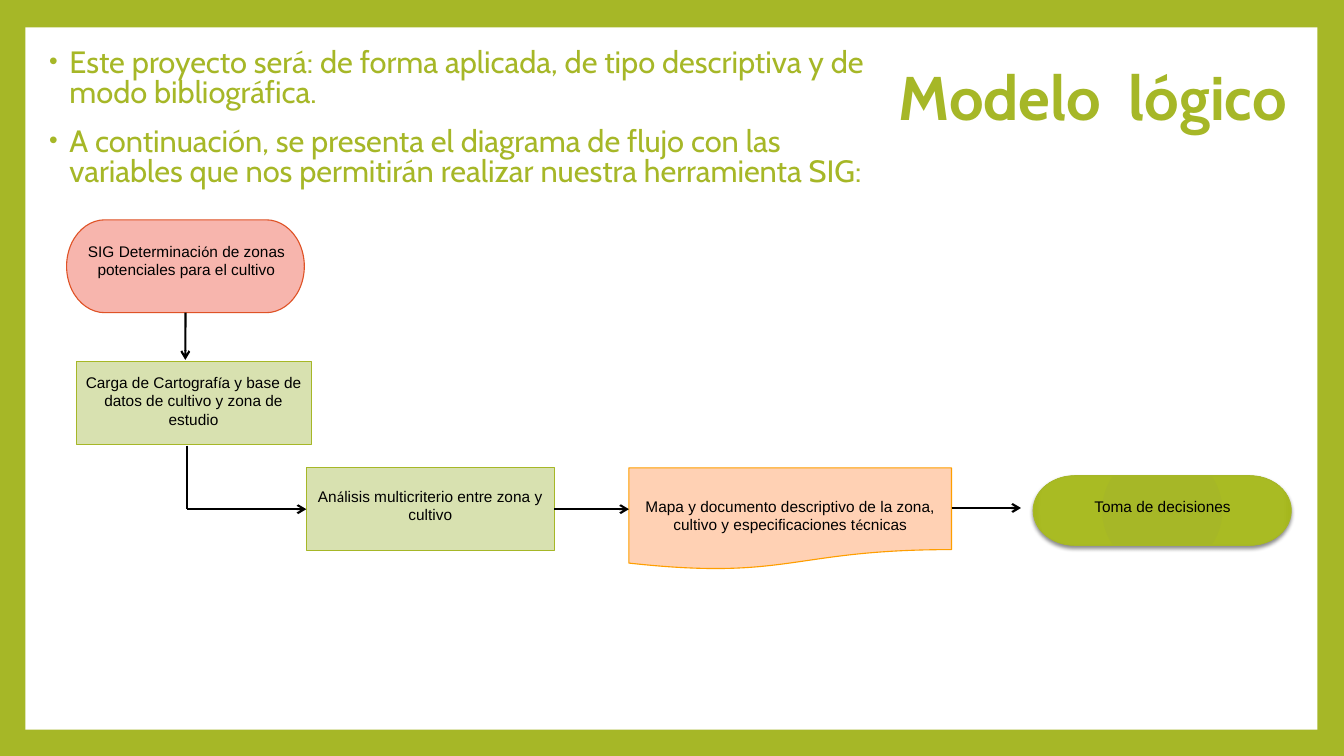
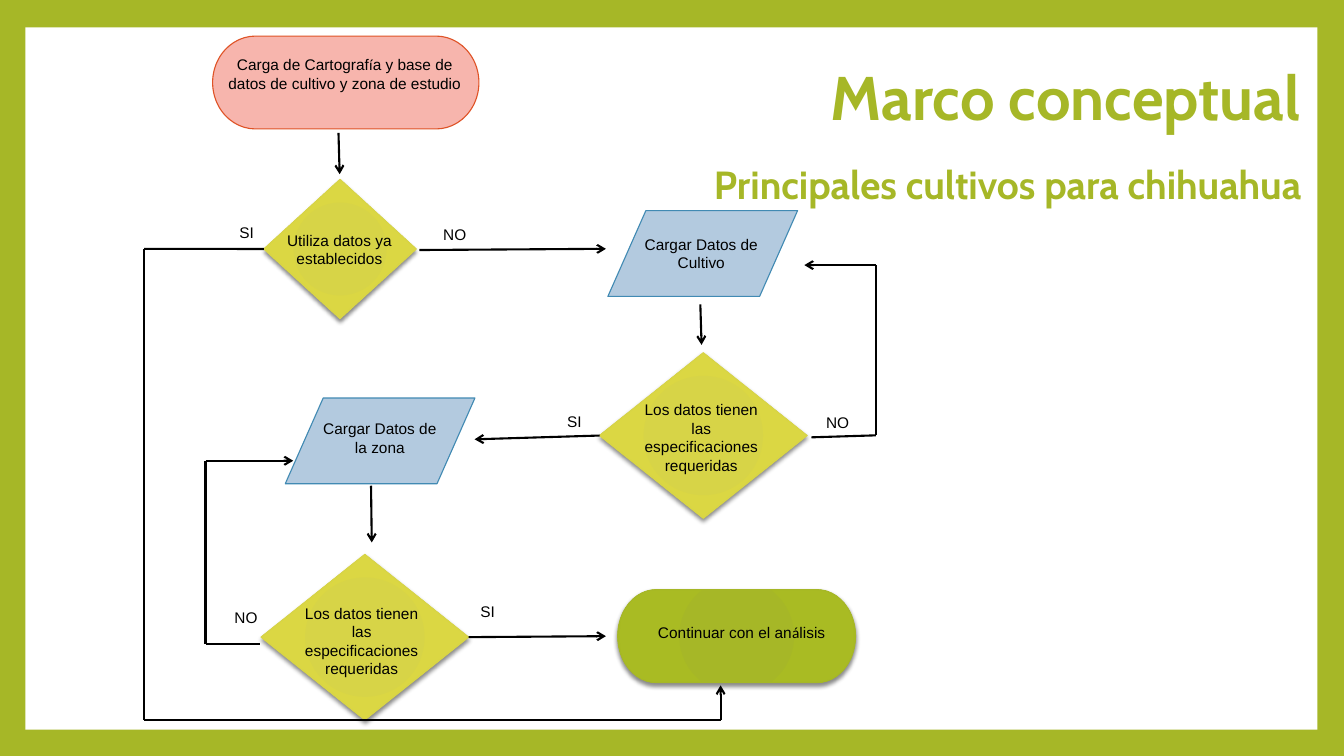
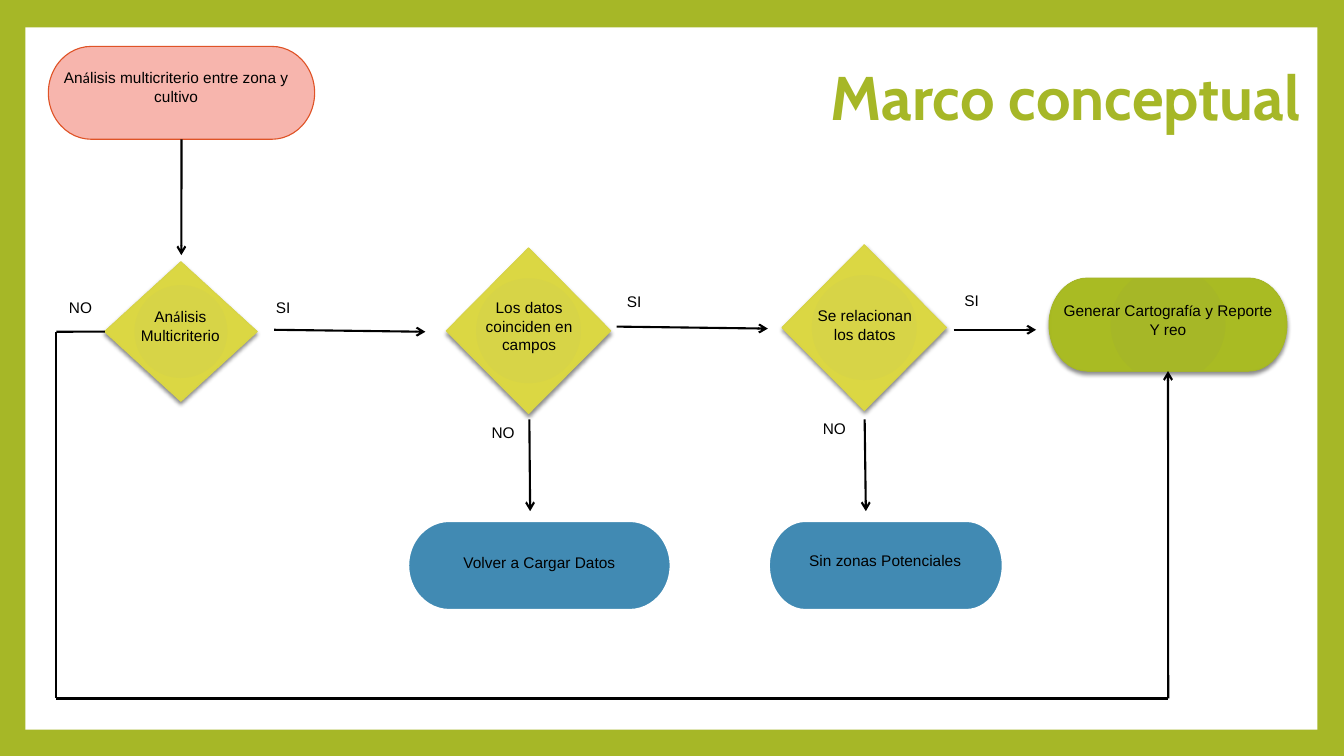
from collections import namedtuple
from itertools import groupby

from lxml import etree
from pptx import Presentation
from pptx.dml.color import RGBColor
from pptx.enum.shapes import MSO_CONNECTOR, MSO_SHAPE
from pptx.enum.text import MSO_ANCHOR, PP_ALIGN
from pptx.oxml import parse_xml
from pptx.oxml.ns import nsdecls, qn
from pptx.util import Cm, Pt

STRAIGHT = MSO_CONNECTOR.STRAIGHT
RECTANGLE = MSO_SHAPE.RECTANGLE
TERMINATOR = MSO_SHAPE.FLOWCHART_TERMINATOR
PROCESS = MSO_SHAPE.FLOWCHART_PROCESS
DOCUMENT = MSO_SHAPE.FLOWCHART_DOCUMENT
DECISION = MSO_SHAPE.FLOWCHART_DECISION
DATA = MSO_SHAPE.FLOWCHART_DATA
LEFT, CENTER, RIGHT = PP_ALIGN.LEFT, PP_ALIGN.CENTER, PP_ALIGN.RIGHT
TOP, MIDDLE = MSO_ANCHOR.TOP, MSO_ANCHOR.MIDDLE
SIDE_LEFT, SIDE_BOTTOM, SIDE_RIGHT = 1, 2, 3

COLORS = {
    "green": "A6B727", "green_mid": "A9BB23", "green_dark": "A1B316",
    "green_pale": "D8E1B0",
    "yellow": "D7D447", "yellow_mid": "DBD743", "yellow_dark": "D0CD33",
    "pink": "F7B5AD", "red": "DF5327",
    "peach": "FFD1B4", "orange": "FE9E00",
    "blue_pale": "B3CADF", "blue": "418AB3",
    "white": "FFFFFF", "black": "000000",
}
TITLE_FONT, LABEL_FONT, ACCENT_FONT = "Cabin", "Arial", "Calibri"
ACCENTS = "áéíóú"

Joint = namedtuple("Joint", "shape side")
Style = namedtuple("Style", "preset fill line line_width raised", defaults=(0.79, False))
STYLES = {
    "start": Style(TERMINATOR, "pink", "red"),
    "end": Style(TERMINATOR, "green", "green", raised=True),
    "exit": Style(TERMINATOR, "blue", "white", line_width=4.25),
    "process": Style(PROCESS, "green_pale", "green"),
    "document": Style(DOCUMENT, "peach", "orange"),
    "decision": Style(DECISION, "yellow", "yellow", raised=True),
    "data": Style(DATA, "blue_pale", "blue"),
}
REQUIREMENTS = "Los datos tienen las especificaciones requeridas"
LOAD_DATA = "Carga de Cartografía y base de datos de cultivo y zona de estudio"
MULTICRITERIA = "Análisis multicriterio entre zona y cultivo"


def rgb(name):
    return RGBColor.from_string(COLORS[name])


def add_bullet(paragraph, color):
    properties = paragraph._p.get_or_add_pPr()
    properties.set("marL", str(Cm(0.64)))
    properties.set("indent", str(Cm(-0.51)))
    bullet_color = etree.SubElement(properties, qn("a:buClr"))
    etree.SubElement(bullet_color, qn("a:srgbClr"), val=COLORS[color])
    etree.SubElement(properties, qn("a:buSzPct"), val="80000")
    etree.SubElement(properties, qn("a:buFont"), typeface="Arial")
    etree.SubElement(properties, qn("a:buChar"), char="•")


def add_text(slide, text, box, size=11, font=LABEL_FONT, accent_font=ACCENT_FONT,
             color="black", bold=False, align=CENTER, anchor=TOP,
             line_spacing=None, gap=0, bullets=False):
    """Write one paragraph per line; accented vowels take accent_font."""
    frame = slide.shapes.add_textbox(*map(Cm, box)).text_frame
    frame.word_wrap = True
    frame.vertical_anchor = anchor
    for index, line in enumerate(text.split("\n")):
        paragraph = frame.add_paragraph() if index else frame.paragraphs[0]
        if bullets:
            add_bullet(paragraph, color)
        paragraph.alignment = align
        if line_spacing:
            paragraph.line_spacing = line_spacing
        if index and gap:
            paragraph.space_before = Pt(gap)
        for is_accent, letters in groupby(
                line, lambda letter: accent_font != font and letter in ACCENTS):
            run = paragraph.add_run()
            run.text = "".join(letters)
            run.font.name = accent_font if is_accent else font
            run.font.size = Pt(size)
            run.font.bold = bold
            run.font.color.rgb = rgb(color)


def add_title(slide, text, top=1.14, size=44):
    add_text(slide, text, (5.61, top, 27.43, 2.77), size=size, font=TITLE_FONT,
             accent_font=TITLE_FONT, color="green", bold=True, align=RIGHT,
             anchor=MIDDLE, line_spacing=0.9)


def raise_shape(shape, color):
    """Give a shape a radial gradient and a soft shadow below it."""
    properties = shape._element.spPr
    stops = ((0, color), (90000, color + "_mid"), (100000, color + "_dark"))
    stop_xml = "".join(
        f'<a:gs pos="{position}"><a:srgbClr val="{COLORS[name]}"/></a:gs>'
        for position, name in stops)
    gradient = parse_xml(
        f'<a:gradFill {nsdecls("a")} rotWithShape="1"><a:gsLst>{stop_xml}</a:gsLst>'
        '<a:path path="circle"><a:fillToRect l="100000" t="100000" r="100000" '
        'b="100000"/></a:path></a:gradFill>')
    properties.replace(properties.find(qn("a:solidFill")), gradient)
    properties.find(qn("a:effectLst")).append(parse_xml(
        f'<a:outerShdw {nsdecls("a")} blurRad="{Pt(3)}" dist="{Pt(2)}" '
        f'dir="5400000" rotWithShape="0"><a:srgbClr val="{COLORS["black"]}">'
        '<a:alpha val="45000"/></a:srgbClr></a:outerShdw>'))


def add_node(slide, kind, box, text, text_box):
    style = STYLES[kind]
    shape = slide.shapes.add_shape(style.preset, *map(Cm, box))
    shape.shadow.inherit = False
    shape.fill.solid()
    shape.fill.fore_color.rgb = rgb(style.fill)
    shape.line.color.rgb = rgb(style.line)
    shape.line.width = Pt(style.line_width)
    if style.raised:
        raise_shape(shape, style.fill)
    add_text(slide, text, text_box)
    return shape


def add_line(slide, begin, end, arrow):
    """Draw a straight line; each end is a point in cm or a Joint."""
    points = [(0, 0) if isinstance(place, Joint) else place for place in (begin, end)]
    connector = slide.shapes.add_connector(
        STRAIGHT, *(Cm(value) for point in points for value in point))
    if isinstance(begin, Joint):
        connector.begin_connect(*begin)
    if isinstance(end, Joint):
        connector.end_connect(*end)
    connector.line.color.rgb = rgb("black")
    connector.line.width = Pt(1.5)
    properties = connector._element.spPr
    if arrow:
        etree.SubElement(properties.find(qn("a:ln")), qn("a:tailEnd"), type="arrow")
    etree.SubElement(properties, qn("a:effectLst"))


def add_flow(slide, *places):
    """Join the places in order, with an arrowhead at the last one."""
    last = len(places) - 1
    for index in range(last):
        add_line(slide, places[index], places[index + 1], arrow=index + 1 == last)


def add_tags(slide, text, positions):
    for left, top in positions:
        add_text(slide, text, (left, top, 1.22, 0.76))


def set_frame(presentation, layout, slide):
    """Put the green border and white panel behind every slide."""
    background = presentation.slide_master.background.fill
    background.solid()
    background.fore_color.rgb = rgb("green")
    panel = slide.shapes.add_shape(RECTANGLE, *map(Cm, (0.64, 0.69, 32.56, 17.7)))
    panel.shadow.inherit = False
    panel.fill.solid()
    panel.fill.fore_color.rgb = rgb("white")
    panel.line.fill.background()
    panel._element.nvSpPr.cNvPr.set("id", "100")
    layout.shapes._spTree.append(panel._element)


def build_logical_model(slide):
    add_text(slide,
             "Este proyecto será: de forma aplicada, de tipo descriptiva y de modo "
             "bibliográfica.\nA continuación, se presenta el diagrama de flujo con las "
             "variables que nos permitirán realizar nuestra herramienta SIG:",
             (0.86, 1.14, 21.51, 3.94), size=22, font=TITLE_FONT,
             accent_font=TITLE_FONT, color="green", align=LEFT, line_spacing=0.8,
             gap=14, bullets=True)
    add_title(slide, "Modelo  lógico ")
    start = add_node(slide, "start", (1.68, 5.54, 5.99, 2.34),
                     "SIG Determinación de zonas potenciales para el cultivo",
                     (1.55, 5.97, 6.3, 1.47))
    add_node(slide, "process", (1.93, 9.12, 5.92, 2.08), LOAD_DATA,
             (1.73, 9.27, 6.3, 1.8))
    analysis = add_node(slide, "process", (7.72, 11.79, 6.25, 2.08), MULTICRITERIA,
                        (7.34, 12.14, 7.01, 1.47))
    add_node(slide, "document", (15.85, 11.79, 8.13, 2.57),
             "Mapa y documento descriptivo de la zona, cultivo y especificaciones técnicas",
             (15.85, 12.4, 8.13, 1.93))
    add_node(slide, "end", (26.04, 11.99, 6.5, 1.75), "Toma de decisiones",
             (25.25, 12.4, 8.1, 1.47))
    add_flow(slide, Joint(start, SIDE_BOTTOM), (4.67, 9.07))
    add_flow(slide, (4.72, 11.23), (4.72, 12.83), Joint(analysis, SIDE_LEFT))
    add_flow(slide, Joint(analysis, SIDE_RIGHT), (15.85, 12.83))
    add_flow(slide, (23.98, 12.8), (25.73, 12.8))


def build_main_crops(slide):
    add_title(slide, "Principales cultivos para chihuahua", top=3.33, size=28)
    add_title(slide, "Marco conceptual")
    add_node(slide, "start", (5.36, 0.91, 6.71, 2.34), LOAD_DATA,
             (5.21, 1.27, 6.96, 1.8))
    known_data = add_node(slide, "decision", (6.65, 4.52, 3.84, 3.51),
                          "Utiliza datos ya establecidos", (6.83, 5.69, 3.45, 1.8))
    add_node(slide, "data", (15.32, 5.31, 4.78, 2.16), "Cargar Datos de Cultivo",
             (15.95, 5.79, 3.45, 1.8))
    crop_check = add_node(slide, "decision", (15.11, 8.89, 5.23, 4.17), REQUIREMENTS,
                          (15.95, 9.96, 3.45, 2.46))
    add_node(slide, "data", (7.19, 10.03, 4.78, 2.16), "Cargar Datos de la zona",
             (7.85, 10.44, 3.45, 1.8))
    zone_check = add_node(slide, "decision", (6.58, 13.97, 5.23, 4.17), REQUIREMENTS,
                          (7.39, 15.09, 3.45, 2.46))
    add_node(slide, "end", (15.57, 14.86, 5.99, 2.34), "Continuar con el análisis",
             (15.82, 15.57, 5.74, 1.14))
    add_flow(slide, (8.53, 3.35), (8.56, 4.39))
    add_flow(slide, (10.57, 6.3), (15.27, 6.27))
    add_flow(slide, (17.65, 7.67), (17.68, 8.69))
    add_flow(slide, Joint(crop_check, SIDE_LEFT), (11.96, 11.07))
    add_flow(slide, (9.35, 12.24), (9.37, 13.67))
    add_flow(slide, Joint(zone_check, SIDE_RIGHT), (15.27, 16.03))
    add_flow(slide, (20.45, 11.02), (22.07, 10.97), (22.07, 6.68), (20.27, 6.68))
    add_flow(slide, (6.55, 16.23), (5.18, 16.23), (5.18, 11.61), (7.39, 11.61))
    add_flow(slide, Joint(known_data, SIDE_LEFT), (3.63, 6.27), (3.63, 18.14),
             (18.16, 18.14), (18.16, 17.27))
    add_tags(slide, "NO", [(10.85, 5.54), (5.59, 15.19), (20.5, 10.29)])
    add_tags(slide, "SI", [(5.61, 5.49), (11.68, 15.06), (13.87, 10.26)])


def build_multicriteria(slide):
    add_title(slide, "Marco conceptual")
    start = add_node(slide, "start", (1.22, 1.17, 6.71, 2.34), MULTICRITERIA,
                     (1.24, 1.6, 6.4, 1.47))
    analysis = add_node(slide, "decision", (2.64, 6.6, 3.84, 3.51),
                        "Análisis Multicriterio", (2.82, 7.62, 3.45, 1.8))
    add_node(slide, "decision", (11.25, 6.25, 4.14, 4.17),
             "Los datos coinciden en campos", (11.61, 7.39, 3.45, 2.13))
    add_node(slide, "decision", (19.71, 6.17, 4.14, 4.17),
             "Se relacionan los datos", (20.07, 7.59, 3.45, 1.47))
    report = add_node(slide, "end", (26.44, 7.01, 5.99, 2.34),
                      "Generar Cartografía y Reporte\nY reo", (25.88, 7.47, 7.11, 1.75))
    add_node(slide, "exit", (10.24, 13.08, 6.71, 2.34), "Volver a Cargar Datos",
             (9.53, 13.82, 8.13, 0.91))
    add_node(slide, "exit", (19.33, 13.08, 5.99, 2.34), "Sin zonas Potenciales",
             (18.26, 13.77, 8.1, 0.91))
    add_flow(slide, Joint(start, SIDE_BOTTOM), (4.57, 6.43))
    add_flow(slide, (6.91, 8.31), (10.72, 8.36))
    add_flow(slide, (15.54, 8.23), (19.35, 8.28))
    add_flow(slide, (24.03, 8.31), (26.11, 8.31))
    add_flow(slide, (13.34, 10.57), (13.36, 12.88))
    add_flow(slide, (21.79, 10.57), (21.82, 12.88))
    add_flow(slide, Joint(analysis, SIDE_LEFT), (1.42, 8.36), (1.42, 17.6),
             (29.44, 17.6), Joint(report, SIDE_BOTTOM))
    add_tags(slide, "NO", [(1.42, 7.39), (12.07, 10.54), (20.42, 10.44)])
    add_tags(slide, "SI", [(6.53, 7.39), (15.37, 7.24), (23.88, 7.21)])


def main():
    presentation = Presentation()
    presentation.slide_width = Cm(33.87)
    presentation.slide_height = Cm(19.05)
    blank = presentation.slide_layouts[6]
    builders = (build_logical_model, build_main_crops, build_multicriteria)
    slides = [presentation.slides.add_slide(blank) for _ in builders]
    set_frame(presentation, blank, slides[0])
    for build, slide in zip(builders, slides):
        build(slide)
    presentation.save("out.pptx")


if __name__ == "__main__":
    main()
